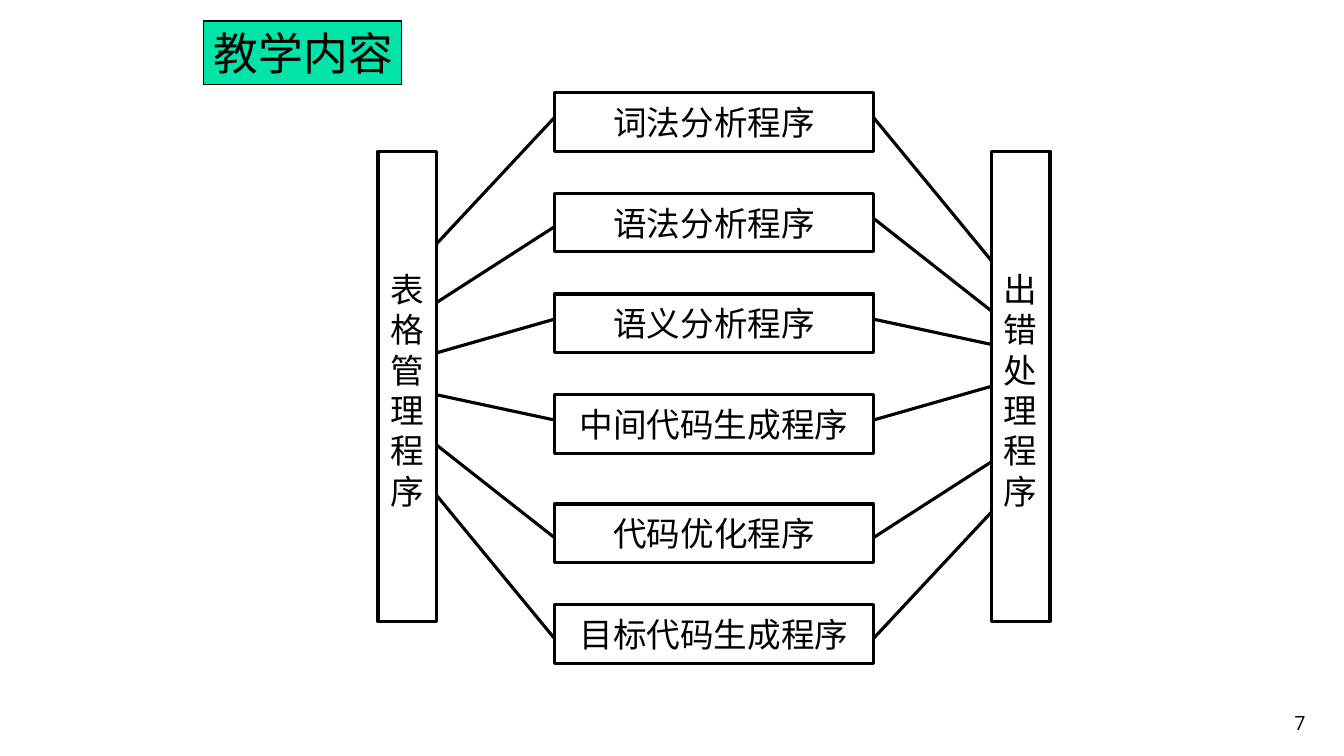
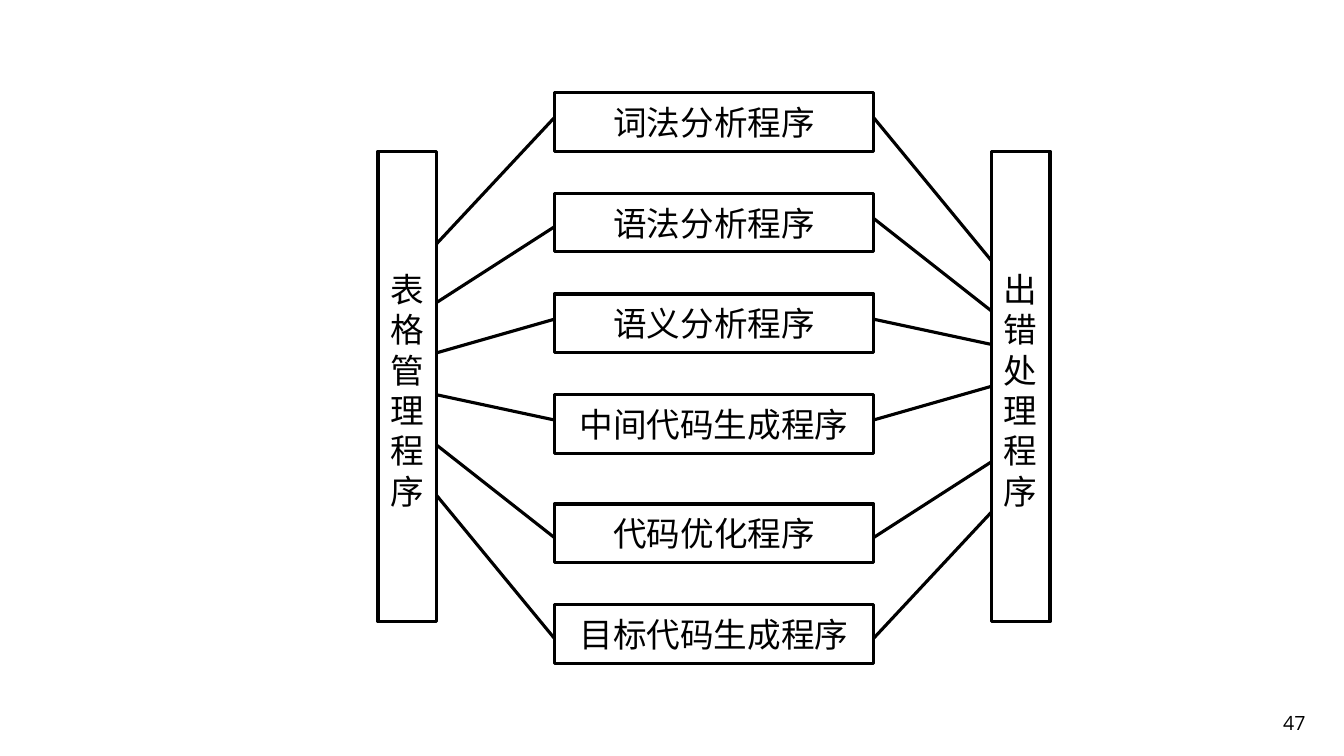
from lxml.etree import SubElement
from pptx import Presentation
from pptx.dml.color import RGBColor
from pptx.enum.shapes import MSO_CONNECTOR, MSO_SHAPE
from pptx.enum.text import MSO_ANCHOR, PP_ALIGN
from pptx.oxml.ns import qn
from pptx.util import Inches, Pt

# Grid of 160 columns by 90 rows, twelve to the inch
COLUMNS, ROWS = 160, 90
BLACK, WHITE, GREEN = "000000", "FFFFFF", "00E4A8"

# Diagram layout: columns and rows of the grid
THICKNESS, PHASE_LEFT, PHASE_WIDTH = 7, 66, 38
BAR_TOP, BAR_HEIGHT = 18, 56
TABLE_LEFT, ERROR_LEFT = 45, 118

# Name, top, then (row at phase, row at bar) for the left and right links
PHASES = [
    ("词法分析程序", 11, (14, 29), (14, 31)),
    ("语法分析程序", 23, (27, 36), (26, 37)),
    ("语义分析程序", 35, (38, 42), (38, 41)),
    ("中间代码生成程序", 47, (50, 47), (50, 46)),
    ("代码优化程序", 60, (64, 53), (64, 55)),
    ("目标代码生成程序", 72, (76, 59), (76, 61)),
]


def grid(units):
    return Inches(units / 12)


def color(code):
    return RGBColor.from_string(code)


class Deck:
    CJK, LATIN = "Noto Sans CJK JP", "Open Sans"

    def __init__(self):
        self.deck = Presentation()
        self.deck.slide_width, self.deck.slide_height = grid(COLUMNS), grid(ROWS)
        self.slide = self.shapes = None

    def new_slide(self):
        self.slide = self.deck.slides.add_slide(self.deck.slide_layouts[6])
        self.shapes = self.slide.shapes

    def add_lines(self, frame, lines, size, font, align):
        for index, line in enumerate(lines):
            paragraph = frame.add_paragraph() if index else frame.paragraphs[0]
            paragraph.alignment = align
            if len(lines) > 1:
                paragraph.line_spacing = Pt(size * 1.2)
            run = paragraph.add_run()
            run.text = line
            run.font.size = Pt(size)
            run.font.color.rgb = color(BLACK)
            run.font.name = font
            SubElement(run.font._element, qn("a:ea"), typeface=font)

    def box(self, left, top, width, height, lines, fill=WHITE, border=2.25,
            size=24, align=PP_ALIGN.CENTER):
        shape = self.shapes.add_shape(
            MSO_SHAPE.RECTANGLE, *map(grid, (left, top, width, height)))
        shape.shadow.inherit = False
        shape.fill.solid()
        shape.fill.fore_color.rgb = color(fill)
        shape.line.color.rgb = color(BLACK)
        shape.line.width = Pt(border)
        frame = shape.text_frame
        frame.word_wrap = False
        frame.vertical_anchor = MSO_ANCHOR.MIDDLE
        self.add_lines(frame, lines, size, self.CJK, align)
        return shape

    def bar(self, left, name):
        """Tall box with one character to a line."""
        shape = self.box(left, BAR_TOP, THICKNESS, BAR_HEIGHT, list(name))
        shape.text_frame.margin_top = Inches(0.12)
        return shape

    def link(self, start, end):
        line = self.shapes.add_connector(
            MSO_CONNECTOR.STRAIGHT, *map(grid, (*start, *end)))
        line.line.color.rgb = color(BLACK)
        line.line.width = Pt(2.25)
        SubElement(line._element.spPr, qn("a:effectLst"))
        return line

    def title(self, text):
        self.box(24.25, 2.5, 23.6, 7.6, [text], GREEN, 0.75, 32, PP_ALIGN.LEFT)

    def page_number(self, number):
        frame = self.shapes.add_textbox(
            *map(grid, (123.2, 82, 33.4, 6))).text_frame
        frame.word_wrap = True
        frame.vertical_anchor = MSO_ANCHOR.BOTTOM
        self.add_lines(frame, [str(number)], 14, self.LATIN, PP_ALIGN.RIGHT)

    def compiler_diagram(self):
        self.shapes = self.slide.shapes.add_group_shape().shapes
        self.bar(TABLE_LEFT, "表格管理程序")
        error_bar = self.bar(ERROR_LEFT, "出错处理程序")
        for name, top, (left_row, table_row), (right_row, error_row) in PHASES:
            self.box(PHASE_LEFT, top, PHASE_WIDTH, THICKNESS, [name])
            self.link((PHASE_LEFT, left_row),
                      (TABLE_LEFT + THICKNESS, table_row))
            error_link = self.link((ERROR_LEFT, error_row),
                                   (PHASE_LEFT + PHASE_WIDTH, right_row))
            if error_row == BAR_TOP + BAR_HEIGHT / 2:
                error_link.begin_connect(error_bar, 1)
        self.shapes = self.slide.shapes


def main():
    lecture = Deck()
    for number, heading in ((7, "教学内容"), (47, None)):
        lecture.new_slide()
        lecture.compiler_diagram()
        lecture.page_number(number)
        if heading:
            lecture.title(heading)
    lecture.deck.save("out.pptx")


if __name__ == "__main__":
    main()
